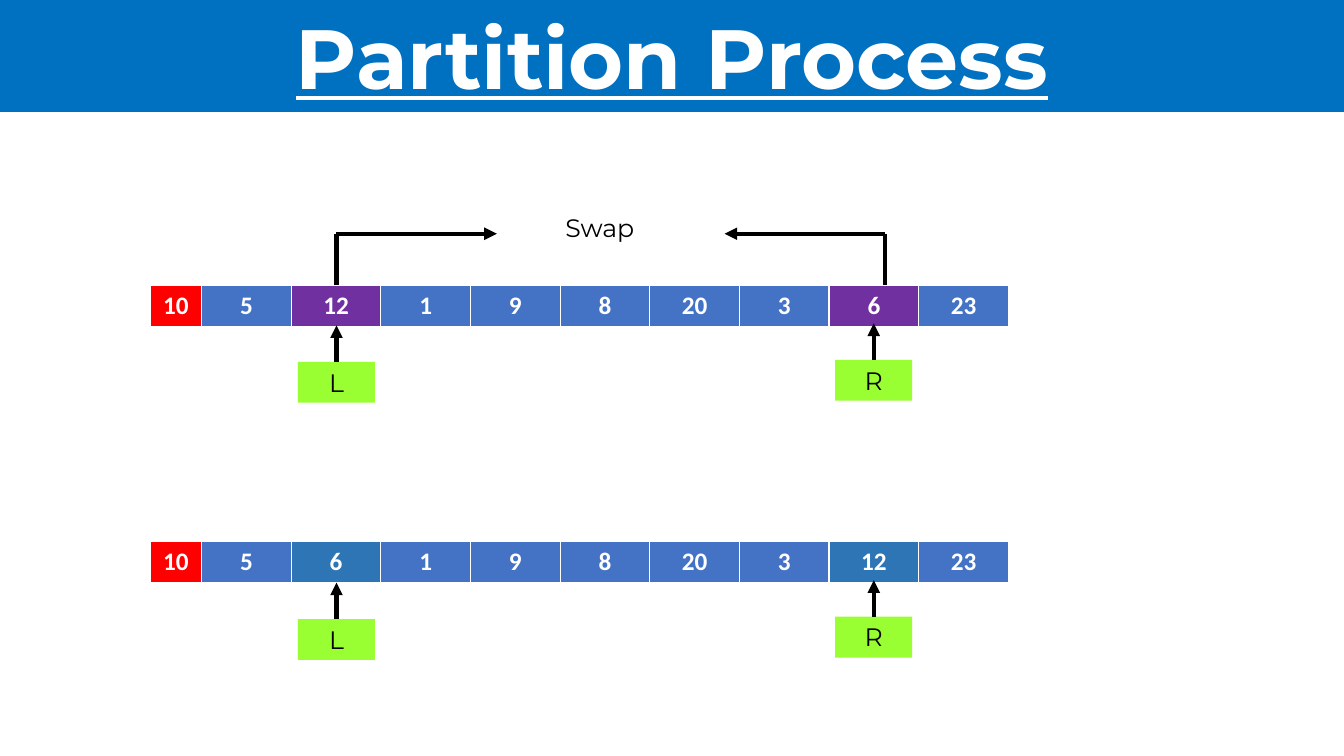
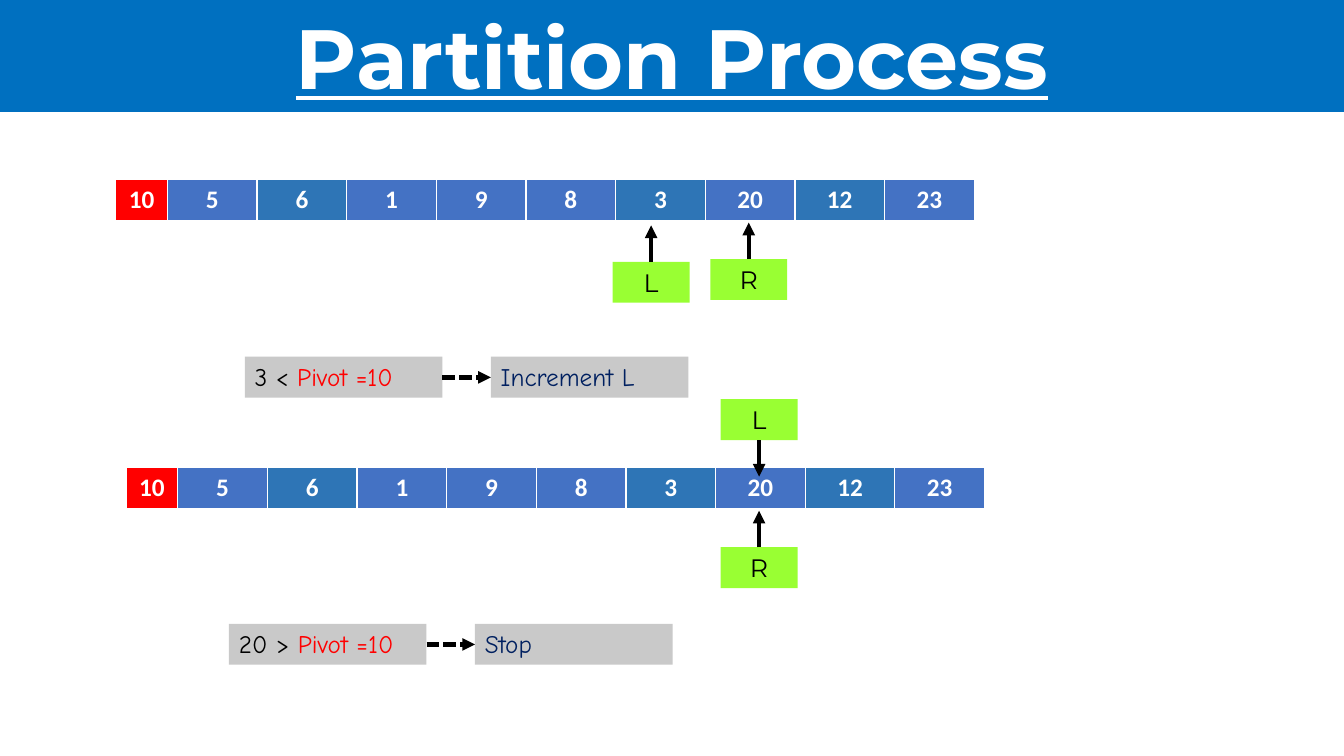
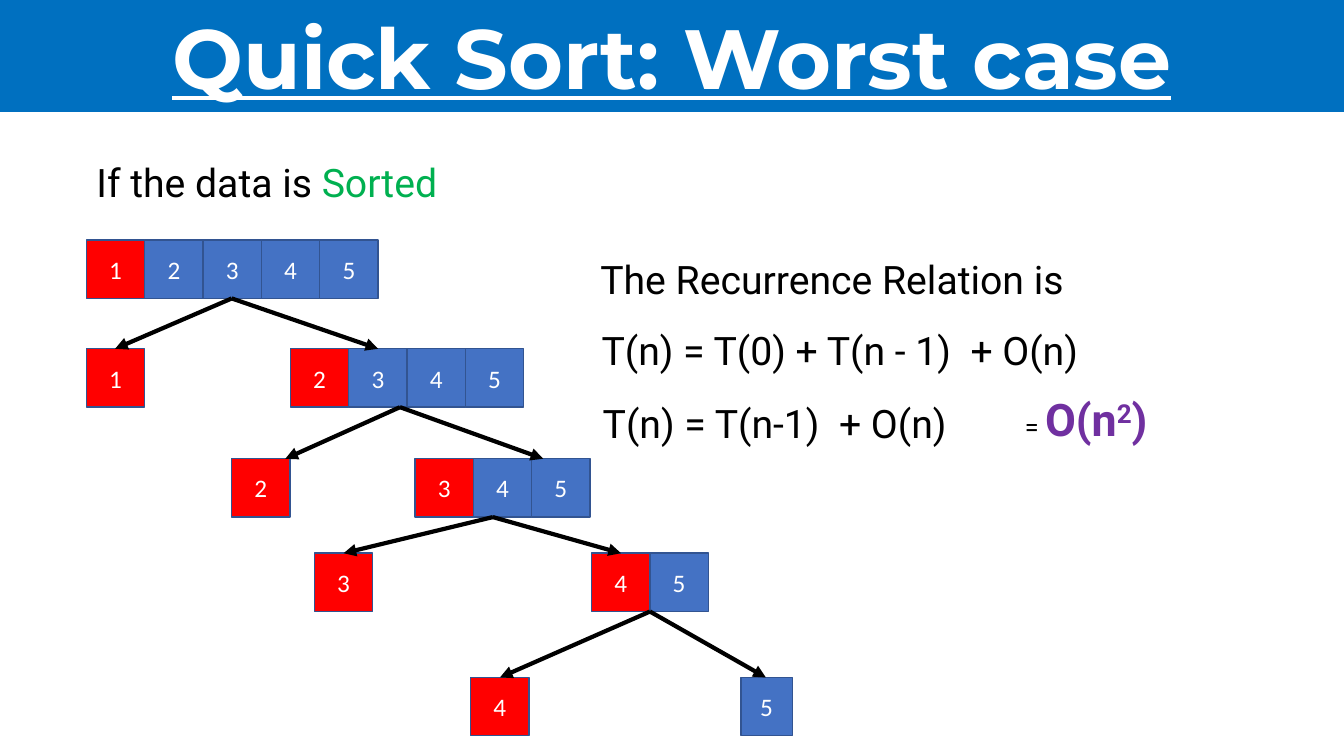
from dataclasses import dataclass
from pptx import Presentation
from pptx.dml.color import RGBColor
from pptx.enum.dml import MSO_LINE
from pptx.enum.shapes import MSO_CONNECTOR, MSO_SHAPE
from pptx.enum.text import MSO_ANCHOR, MSO_AUTO_SIZE, PP_ALIGN
from pptx.oxml.ns import qn
from pptx.util import Cm, Pt
from lxml import etree


@dataclass(frozen=True)
class Theme:
    band: str = "0070C0"
    white: str = "FFFFFF"
    black: str = "000000"
    red: str = "FF0000"
    blue: str = "4472C4"
    edge: str = "325491"
    moved: str = "2E75B6"
    purple: str = "7030A0"
    green: str = "00B050"
    lime: str = "99FF33"
    gray: str = "C9C9C9"
    navy: str = "002060"
    head: str = "Montserrat"
    cell: str = "Calibri"
    note: str = "Comic Neue"
    text: str = "Roboto"
    title: int = 60
    result: int = 32
    body: int = 28
    small: int = 18


T = Theme()


def box(s, x, y, w, h, runs, font, size=T.small, fill=None, line=None, align=PP_ALIGN.CENTER):
    area = Cm(x), Cm(y), Cm(w), Cm(h)
    if fill:
        sp = s.shapes.add_shape(MSO_SHAPE.RECTANGLE, *area)
        sp.shadow.inherit = False
        sp.fill.solid()
        sp.fill.fore_color.rgb = RGBColor.from_string(fill)
        sp.line.fill.background()
    else:
        sp = s.shapes.add_textbox(*area)
    if line:
        sp.line.color.rgb = RGBColor.from_string(line)
        sp.line.width = Pt(1)
    tf = sp.text_frame
    tf.word_wrap = True
    tf.vertical_anchor = MSO_ANCHOR.MIDDLE if line else MSO_ANCHOR.TOP
    p = tf.paragraphs[0]
    p.alignment = align
    for text, color in runs:
        r = p.add_run()
        r.text = text
        r.font.name = font
        r.font.size = Pt(size)
        r.font.color.rgb = RGBColor.from_string(color)
    return sp


def arrow(s, x1, y1, x2, y2, head=True, dash=None):
    c = s.shapes.add_connector(MSO_CONNECTOR.STRAIGHT, Cm(x1), Cm(y1), Cm(x2), Cm(y2))
    c.line.color.rgb = RGBColor.from_string(T.black)
    c.line.width = Pt(3)
    if dash:
        c.line.dash_style = dash
    if head:
        etree.SubElement(c.line._get_or_add_ln(), qn("a:tailEnd"), type="triangle")
    etree.SubElement(c._element.spPr, qn("a:effectLst"))


prs = Presentation()
prs.slide_width, prs.slide_height = Cm(33.87), Cm(19.05)

slides = []
for title in ["Partition Process", "Partition Process", "Quick Sort: Worst case"]:
    s = prs.slides.add_slide(prs.slide_layouts[5])
    sp = s.shapes.title
    sp.left, sp.top, sp.width, sp.height = Cm(0), Cm(0), prs.slide_width, Cm(2.82)
    sp.fill.solid()
    sp.fill.fore_color.rgb = RGBColor.from_string(T.band)
    tf = sp.text_frame
    tf.text = title
    tf.auto_size = MSO_AUTO_SIZE.NONE
    tf.vertical_anchor = MSO_ANCHOR.MIDDLE
    p = tf.paragraphs[0]
    p.alignment = PP_ALIGN.CENTER
    font = p.runs[0].font
    font.name, font.size = T.head, Pt(T.title)
    font.bold = font.underline = True
    font.color.rgb = RGBColor.from_string(T.white)
    slides.append(s)
swap, scan, worst = slides

arrays = [
    (swap, 3.78, 7.19, "10 5 12 1 9 8 20 3 6 23", (2, 8), T.purple),
    (swap, 3.78, 13.64, "10 5 6 1 9 8 20 3 12 23", (2, 8), T.moved),
    (scan, 2.92, 4.52, "10 5 6 1 9 8 3 20 12 23", (2, 6, 8), T.moved),
    (scan, 3.18, 11.79, "10 5 6 1 9 8 3 20 12 23", (2, 6, 8), T.moved),
]
for s, x, y, values, marked, mark in arrays:
    values = values.split()
    table = s.shapes.add_table(1, len(values), Cm(x), Cm(y), Cm(21.64), Cm(1.03)).table
    table.horz_banding = False
    for i, value in enumerate(values):
        table.columns[i].width = Cm(2.26 if i else 1.3)
        cell = table.cell(0, i)
        cell.fill.solid()
        color = mark if i in marked else T.blue if i else T.red
        cell.fill.fore_color.rgb = RGBColor.from_string(color)
        p = cell.text_frame.paragraphs[0]
        p.text = value
        p.alignment = PP_ALIGN.CENTER
        font = p.runs[0].font
        font.name, font.size, font.bold = T.cell, Pt(T.small), True
        font.color.rgb = RGBColor.from_string(T.white)

pointers = [
    (swap, "L", 8.48, 9.12, True),
    (swap, "R", 22.02, 9.07, True),
    (swap, "L", 8.48, 15.6, True),
    (swap, "R", 22.02, 15.54, True),
    (scan, "L", 16.41, 6.6, True),
    (scan, "R", 18.87, 6.53, True),
    (scan, "L", 19.13, 10.06, False),
    (scan, "R", 19.13, 13.79, True),
]
for s, label, x, y, up in pointers:
    box(s, x - 0.97, y, 1.94, 1.03, [(label, T.black)], T.head, fill=T.lime)
    start = y if up else y + 1.03
    arrow(s, x, start, x, start - 0.92 if up else start + 0.92)

for x, tip in [(8.48, 12.52), (22.3, 18.26)]:
    arrow(swap, x, 7.19, x, 5.89, head=False)
    arrow(swap, x, 5.89, tip, 5.89)
box(swap, 14, 5.23, 2.79, 1.03, [("Swap", T.black)], T.head, align=PP_ALIGN.LEFT)

for x, y, test, action in [(6.17, 8.99, "3 < ", "Increment L"), (5.77, 15.72, "20 > ", "Stop")]:
    condition = [(test, T.black), ("Pivot =10", T.red)]
    for left, runs in [(x, condition), (x + 6.2, [(action, T.navy)])]:
        box(scan, left, y, 4.98, 1.03, runs, T.note, fill=T.gray, align=PP_ALIGN.LEFT)
    arrow(scan, x + 4.98, y + 0.52, x + 6.2, y + 0.52, dash=MSO_LINE.SQUARE_DOT)

side = 1.47
levels = [
    (6.05, [(2.18, "12345")]),
    (8.79, [(2.18, "1"), (7.32, "2345")]),
    (11.56, [(5.84, "2"), (10.46, "345")]),
    (13.94, [(7.92, "3"), (14.91, "45")]),
    (17.07, [(11.86, "4"), (18.67, "5")]),
]
for y, parts in levels:
    for x, digits in parts:
        for i, digit in enumerate(digits):
            last = digits == "5"
            fill = T.blue if i or last else T.red
            width = 1.3 if last else side
            box(worst, x + i * side, y, width, side, [(digit, T.white)], T.cell, fill=fill, line=T.edge)

forks = [(5.84, 2.9, 9.53), (10.08, 7.19, 13.69), (12.42, 8.66, 15.65), (16.38, 12.6, 19.3)]
for (x, *tips), (top, _), (below, _) in zip(forks, levels, levels[1:]):
    for tip in tips:
        arrow(worst, x, top + side, tip, below)

lines = [
    (2.18, 3.86, [("If the data is ", T.black), ("Sorted", T.green)]),
    (14.88, 6.3, [("The Recurrence Relation is", T.black)]),
    (14.91, 8.1, [("T(n) = T(0) + T(n - 1)  + O(n)", T.black)]),
    (14.94, 9.93, [("T(n) = T(n-1)  + O(n)", T.black)]),
]
for x, y, runs in lines:
    box(worst, x, y, 16.79, 1.45, runs, T.text, T.body, align=PP_ALIGN.LEFT)

runs = [("= ", T.black), ("O(n", T.purple), ("2", T.purple), (")", T.purple)]
sp = box(worst, 25.58, 9.75, 8, 1.63, runs, T.text, T.result, align=PP_ALIGN.LEFT)
equals, *order = sp.text_frame.paragraphs[0].runs
equals.font.size = Pt(T.small)
for r in order:
    r.font.bold = True
order[1].font._element.set("baseline", "30000")

prs.save("out.pptx")
